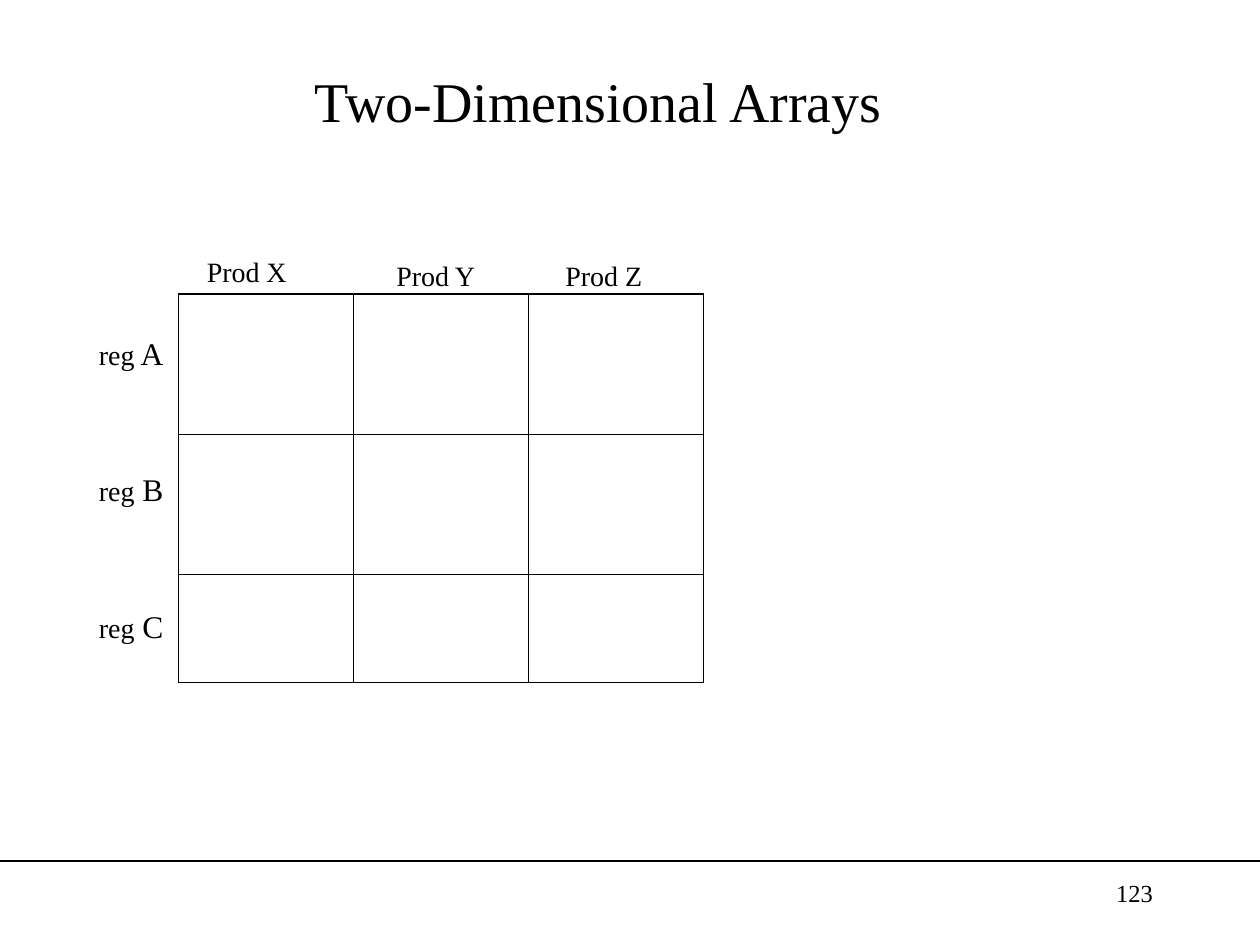
from dataclasses import dataclass

from lxml import etree
from pptx import Presentation
from pptx import util as u
from pptx.dml.color import RGBColor
from pptx.enum import shapes, text
from pptx.oxml import ns

COLS, ROWS = 120, 90  # grid laid over the whole slide


@dataclass
class Theme:
    font: str = "Times New Roman"
    ink: str = "000000"
    title: float = 32
    mark: float = 18
    label: float = 16
    page: float = 14
    rule: float = 0.75
    edge: float = 1.08
    inner: float = 0.45


class Board:
    """Draws on one slide; lengths are grid columns and rows."""

    def __init__(self, deck, theme):
        self.theme = theme
        self.wide = deck.slide_width / COLS
        self.high = deck.slide_height / ROWS
        self.slide = deck.slides.add_slide(deck.slide_layouts[5])

    def span(self, x, y, w, h):
        return [u.Emu(round(n)) for n in
                (x * self.wide, y * self.high, w * self.wide, h * self.high)]

    def letter(self, shape, runs, align, anchor=text.MSO_ANCHOR.TOP):
        """Fill a shape with styled runs of text."""
        frame = shape.text_frame
        frame.word_wrap = True
        frame.auto_size = text.MSO_AUTO_SIZE.NONE
        frame.vertical_anchor = anchor
        para = frame.paragraphs[0]
        para.alignment = align
        for words, size in runs:
            run = para.add_run()
            run.text = words
            run.font.name = self.theme.font
            run.font.size = u.Pt(size)
            run.font.color.rgb = RGBColor.from_string(self.theme.ink)

    def title(self, words, place):
        shape = self.slide.shapes.title
        shape.left, shape.top, shape.width, shape.height = self.span(*place)
        self.letter(shape, [(words, self.theme.title)], text.PP_ALIGN.CENTER,
                    text.MSO_ANCHOR.MIDDLE)

    def label(self, runs, place, align=text.PP_ALIGN.CENTER):
        self.letter(self.slide.shapes.add_textbox(*self.span(*place)), runs, align)

    def rule(self, y):
        x, top, w, _ = self.span(0, y, COLS, 0)
        line = self.slide.shapes.add_connector(
            shapes.MSO_CONNECTOR.STRAIGHT, x, top, x + w, top)
        line.line.color.rgb = RGBColor.from_string(self.theme.ink)
        line.line.width = u.Pt(self.theme.rule)
        etree.SubElement(line._element.spPr, ns.qn("a:effectLst"))

    def border(self, cell, side, width):
        line = etree.SubElement(cell._tc.get_or_add_tcPr(), ns.qn(f"a:ln{side}"),
                                w=str(int(u.Pt(width))))
        fill = etree.SubElement(line, ns.qn("a:solidFill"))
        etree.SubElement(fill, ns.qn("a:srgbClr"), val=self.theme.ink)

    def table(self, x, y, widths, heights):
        """Empty table with a heavier outer edge."""
        across, down = len(widths), len(heights)
        table = self.slide.shapes.add_table(
            down, across, *self.span(x, y, sum(widths), sum(heights))).table
        table.first_row = table.horz_banding = False
        for col, w in zip(table.columns, widths):
            col.width = u.Emu(round(w * self.wide))
        for row, h in zip(table.rows, heights):
            row.height = u.Emu(round(h * self.high))
        for r in range(down):
            for c in range(across):
                cell = table.cell(r, c)
                outer = {"L": c == 0, "R": c == across - 1,
                         "T": r == 0, "B": r == down - 1}
                for side, edge in outer.items():
                    self.border(cell, side,
                                self.theme.edge if edge else self.theme.inner)
                cell.fill.background()


def main():
    deck = Presentation()
    deck.slide_width, deck.slide_height = u.Inches(10), u.Inches(7.5)
    theme = Theme()
    board = Board(deck, theme)
    board.rule(82)
    board.title("Two-Dimensional Arrays", (6, 3, 102, 13))
    board.table(17, 28, [16.67] * 3, [13.33, 13.33, 10.33])
    for i, name in enumerate("ABC"):
        board.label([("reg", theme.label), (f" {name}", theme.mark)],
                    (8, 31.2 + 13 * i, 9, 4.8))
    for name, x, y in (("X", 18, 23.64), ("Y", 36, 24), ("Z", 52, 24)):
        board.label([(f"Prod {name}", theme.label)], (x, y, 11, 4.4))
    board.label([("123", theme.page)], (86, 83, 25, 6), text.PP_ALIGN.RIGHT)
    deck.save("out.pptx")


if __name__ == "__main__":
    main()
